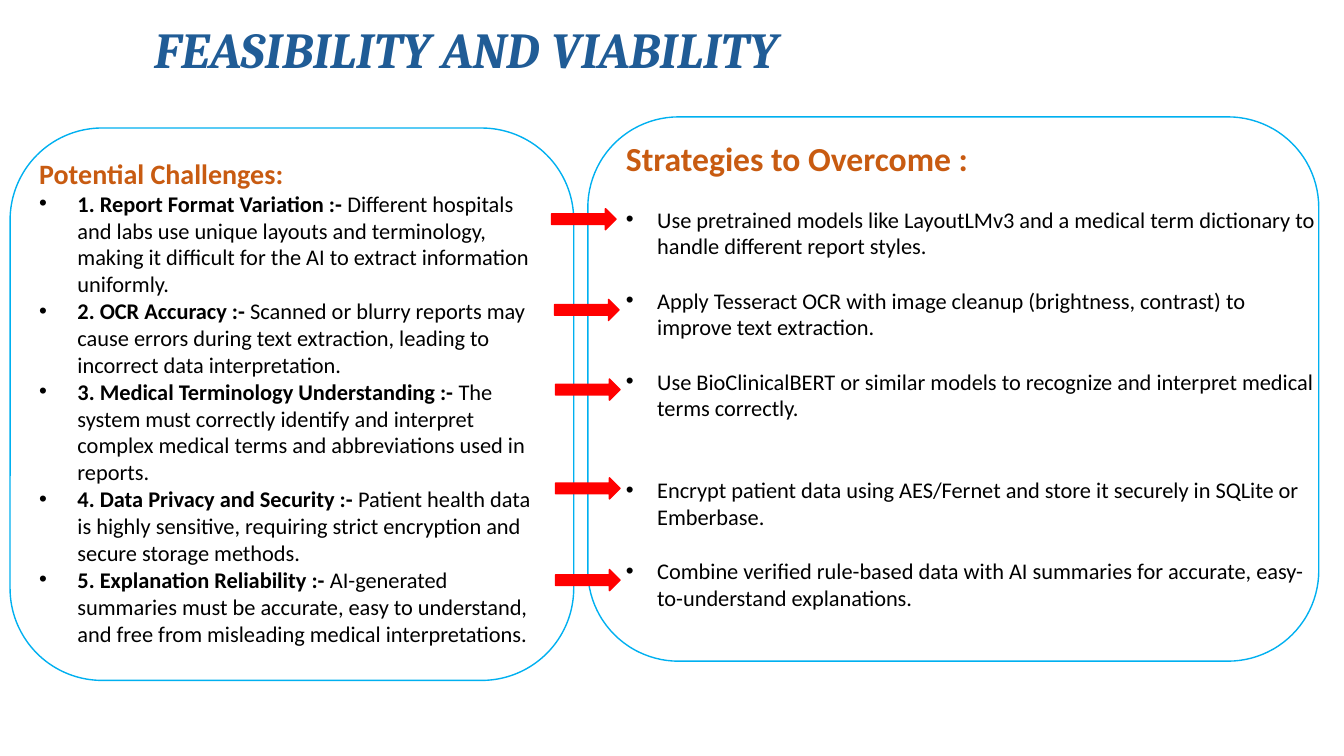
from pptx import Presentation
from pptx.dml.color import RGBColor
from pptx.enum.shapes import MSO_SHAPE
from pptx.enum.text import MSO_ANCHOR, PP_ALIGN
from pptx.oxml.ns import qn
from pptx.util import Inches, Pt
from lxml import etree

BLUE = RGBColor(0x20, 0x5C, 0x96)
SKY = RGBColor(0x00, 0xB0, 0xF0)
ORANGE = RGBColor(0xC8, 0x5B, 0x11)
RED = RGBColor(0xFF, 0x00, 0x00)
BLACK = RGBColor(0x00, 0x00, 0x00)
WHITE = RGBColor(0xFF, 0xFF, 0xFF)

LINE = 19.5  # height of one 16 pt line, in points

CHALLENGES = [
    ("1. Report Format Variation :- ",
     "Different hospitals and labs use unique layouts and terminology, making it "
     "difficult for the AI to extract information uniformly."),
    ("2. OCR Accuracy :- ",
     "Scanned or blurry reports may cause errors during text extraction, leading "
     "to incorrect data interpretation."),
    ("3. Medical Terminology Understanding :- ",
     "The system must correctly identify and interpret complex medical terms and "
     "abbreviations used in reports."),
    ("4. Data Privacy and Security :- ",
     "Patient health data is highly sensitive, requiring strict encryption and "
     "secure storage methods."),
    ("5. Explanation Reliability :- ",
     "AI-generated summaries must be accurate, easy to understand, and free from "
     "misleading medical interpretations."),
]

# Each strategy with the number of lines left free above it
STRATEGIES = [
    ("Use pretrained models like LayoutLMv3 and a medical term dictionary to "
     "handle different report styles.", 1),
    ("Apply Tesseract OCR with image cleanup (brightness, contrast) to improve "
     "text extraction.", 1),
    ("Use BioClinicalBERT or similar models to recognize and interpret medical "
     "terms correctly.", 1),
    ("Encrypt patient data using AES/Fernet and store it securely in SQLite or "
     "Emberbase.", 2),
    ("Combine verified rule-based data with AI summaries for accurate, "
     "easy-to-understand explanations.", 1),
]

ARROWS = [(5.47, 2.07), (5.5, 2.97), (5.51, 3.76), (5.51, 4.74), (5.51, 5.65)]


def add_run(p, text, size=16, color=BLACK, font="Calibri", bold=False, italic=False):
    r = p.add_run()
    r.text = text
    r.font.name = font
    r.font.size = Pt(size)
    r.font.bold = bold
    r.font.italic = italic
    r.font.color.rgb = color


class SlideBuilder:
    def __init__(self, slide):
        self.s = slide

    def shape(self, kind, x, y, w, h, fill, line):
        sp = self.s.shapes.add_shape(kind, Inches(x), Inches(y), Inches(w), Inches(h))
        sp.shadow.inherit = False
        sp.fill.solid()
        sp.fill.fore_color.rgb = fill
        sp.line.color.rgb = line
        sp.line.width = Pt(1)

    def panel(self, x, y, w, h):
        self.shape(MSO_SHAPE.ROUNDED_RECTANGLE, x, y, w, h, WHITE, SKY)

    def arrow(self, x, y):
        self.shape(MSO_SHAPE.RIGHT_ARROW, x, y, 0.64, 0.21, RED, RED)

    def heading(self, x, y, w, h, text, **style):
        box = self.s.shapes.add_textbox(Inches(x), Inches(y), Inches(w), Inches(h))
        tf = box.text_frame
        tf.word_wrap = True
        add_run(tf.paragraphs[0], text, bold=True, **style)
        return tf

    def bullet(self, tf, indent, before=0):
        p = tf.add_paragraph()
        pPr = p._p.get_or_add_pPr()
        pPr.set("marL", str(Inches(indent)))
        pPr.set("indent", str(-Inches(indent)))
        etree.SubElement(pPr, qn("a:buFont")).set("typeface", "Arial")
        etree.SubElement(pPr, qn("a:buChar")).set("char", "•")
        p.alignment = PP_ALIGN.LEFT
        p.space_before = Pt(before)
        return p


def main():
    prs = Presentation()
    prs.slide_width, prs.slide_height = Inches(13.33), Inches(7.5)
    b = SlideBuilder(prs.slides.add_slide(prs.slide_layouts[6]))

    # Title
    tf = b.heading(1.43, -0.02, 11.8, 1.08, "FEASIBILITY AND VIABILITY",
                   size=36, color=BLUE, font="Cambria", italic=True)
    tf.vertical_anchor = MSO_ANCHOR.MIDDLE
    tf.paragraphs[0].line_spacing = 0.9

    # Challenges
    b.panel(0.1, 1.27, 5.59, 5.48)
    tf = b.heading(0.29, 1.5, 5.21, 5.02, "Potential Challenges:", size=20, color=ORANGE)
    for name, detail in CHALLENGES:
        p = b.bullet(tf, 0.38)
        add_run(p, name, bold=True)
        add_run(p, detail)

    # Strategies
    b.panel(5.83, 1.16, 7.25, 5.4)
    tf = b.heading(6.11, 1.32, 7.12, 4.81, "Strategies to Overcome :", size=24, color=ORANGE)
    for text, gap in STRATEGIES:
        add_run(b.bullet(tf, 0.31, before=gap * LINE), text)

    # Arrows from challenge to strategy
    for x, y in ARROWS:
        b.arrow(x, y)

    prs.save("out.pptx")


if __name__ == "__main__":
    main()
